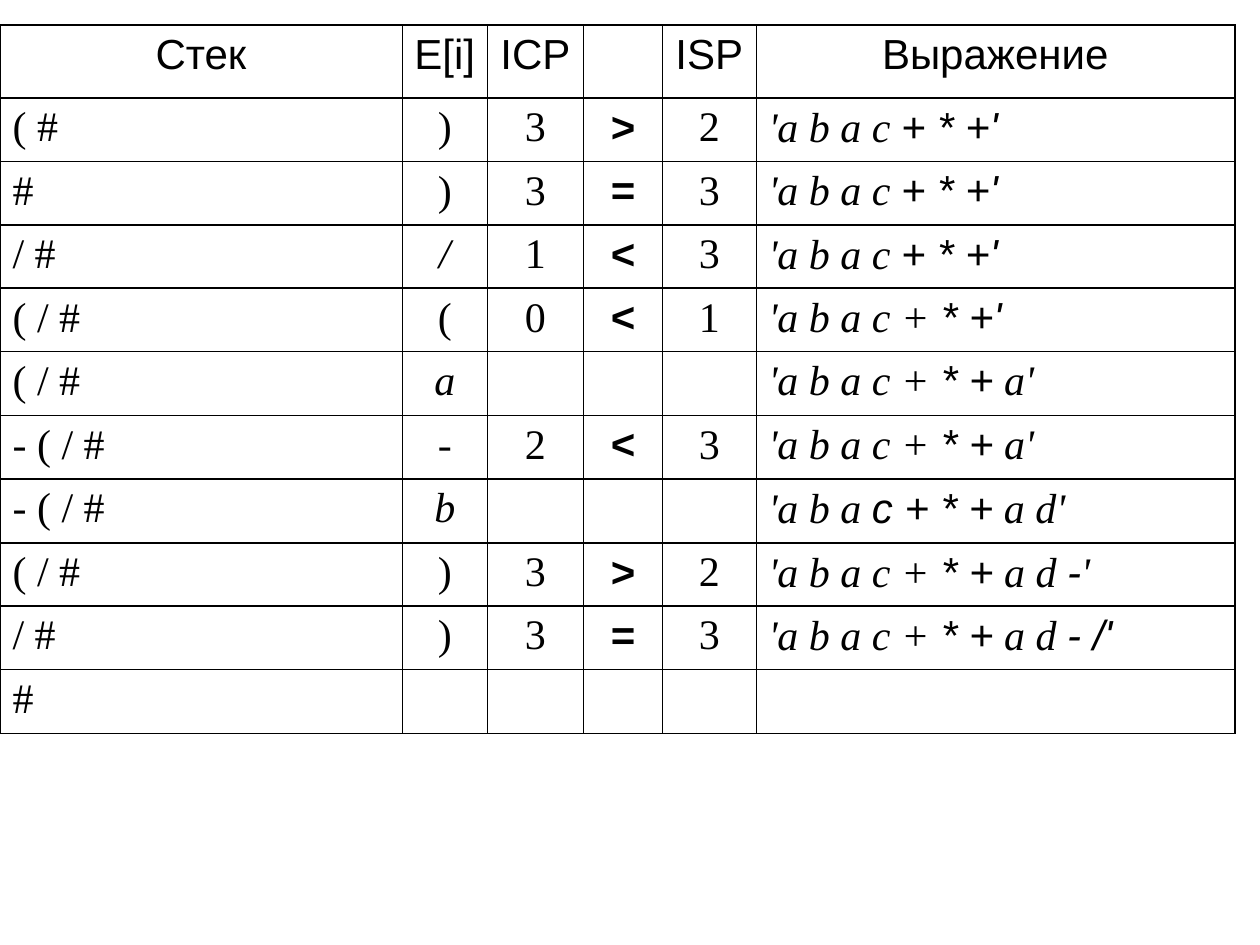
from lxml import etree
from pptx import Presentation
from pptx.dml.color import RGBColor
from pptx.enum import text
from pptx.oxml import ns
from pptx.util import Inches, Pt


def color(value):
    return RGBColor.from_string(value)


def add_text(paragraph, content, font="Times New Roman", bold=False, italic=False, align=text.PP_ALIGN.CENTER):
    paragraph.alignment = align
    run = paragraph.add_run()
    run.text = content
    run.font.name = font
    run.font.size = Pt(24)
    run.font.bold = bold
    run.font.italic = italic
    run.font.color.rgb = color("000000")


headings = ["Стек", "E[i]", "ICP", "", "ISP", "Выражение"]
steps = [
    ["( #", ")", "3", ">", "2", ["'a b a c ", "+ * +'"]],
    ["#", ")", "3", "=", "3", ["'a b a c ", "+ * +'"]],
    ["/ #", "/", "1", "<", "3", ["'a b a c ", "+ * +'"]],
    ["( / #", "(", "0", "<", "1", ["'a b a c +", " * +'"]],
    ["( / #", "a", "", "", "", ["'a b a c +", " * +", " a'"]],
    ["- ( / #", "-", "2", "<", "3", ["'a b a c +", " * +", " a'"]],
    ["- ( / #", "b", "", "", "", ["'a b a ", "c + * +", " a d'"]],
    ["( / #", ")", "3", ">", "2", ["'a b a c +", " * +", " a d ", "-", "'"]],
    ["/ #", ")", "3", "=", "3", ["'a b a c +", " * +", " a d ", "- /'"]],
    ["#", "", "", "", "", []],
]
column_widths = [3.19, 0.68, 0.76, 0.63, 0.74, 3.8]
table_height = 5.61
header_height = 0.58
step_height = (table_height - header_height) / len(steps)

presentation = Presentation()
presentation.slide_width = Inches(10)
presentation.slide_height = Inches(7.5)
slide = presentation.slides.add_slide(presentation.slide_layouts[6])

table = slide.shapes.add_table(
    len(steps) + 1, len(headings), Inches(0), Inches(0.2), Inches(sum(column_widths)), Inches(table_height)
).table
table.first_row = False
table.horz_banding = False
for column, width in zip(table.columns, column_widths):
    column.width = Inches(width)
for row in table.rows:
    row.height = Inches(step_height)
table.rows[0].height = Inches(header_height)

last_column = len(headings) - 1
for row_index, values in enumerate([headings] + steps):
    for column_index, value in enumerate(values):
        cell = table.cell(row_index, column_index)
        side_margin = 0.1 if column_index in (0, last_column) else 0.08
        cell.margin_left = cell.margin_right = Inches(side_margin)
        cell.margin_top = cell.margin_bottom = Inches(0.05)
        cell.vertical_anchor = text.MSO_ANCHOR.TOP

        border_widths = {
            "lnL": 1.08 if column_index == 0 else 0.45,
            "lnR": 1.08 if column_index == last_column else 0.45,
            "lnT": 1.08,
            "lnB": 1.08,
        }
        properties = cell._tc.get_or_add_tcPr()
        for side, width in border_widths.items():
            border = etree.SubElement(properties, ns.qn(f"a:{side}"), w=str(Pt(width)))
            fill = etree.SubElement(border, ns.qn("a:solidFill"))
            etree.SubElement(fill, ns.qn("a:srgbClr"), val="000000")
        cell.fill.background()

        paragraph = cell.text_frame.paragraphs[0]
        if not value:
            paragraph.font.size = Pt(24)
        elif row_index == 0:
            add_text(paragraph, value, font="Arial")
        elif column_index == 0:
            add_text(paragraph, value, align=text.PP_ALIGN.LEFT)
        elif column_index == 3:
            add_text(paragraph, value, font="Arial", bold=True)
        elif column_index == last_column:
            for part_index, part in enumerate(value):
                font = "Arial" if part_index % 2 else "Times New Roman"
                add_text(paragraph, part, font=font, italic=True, align=text.PP_ALIGN.LEFT)
        else:
            add_text(paragraph, value, italic=value in ("a", "b", "/"))

presentation.save("out.pptx")
